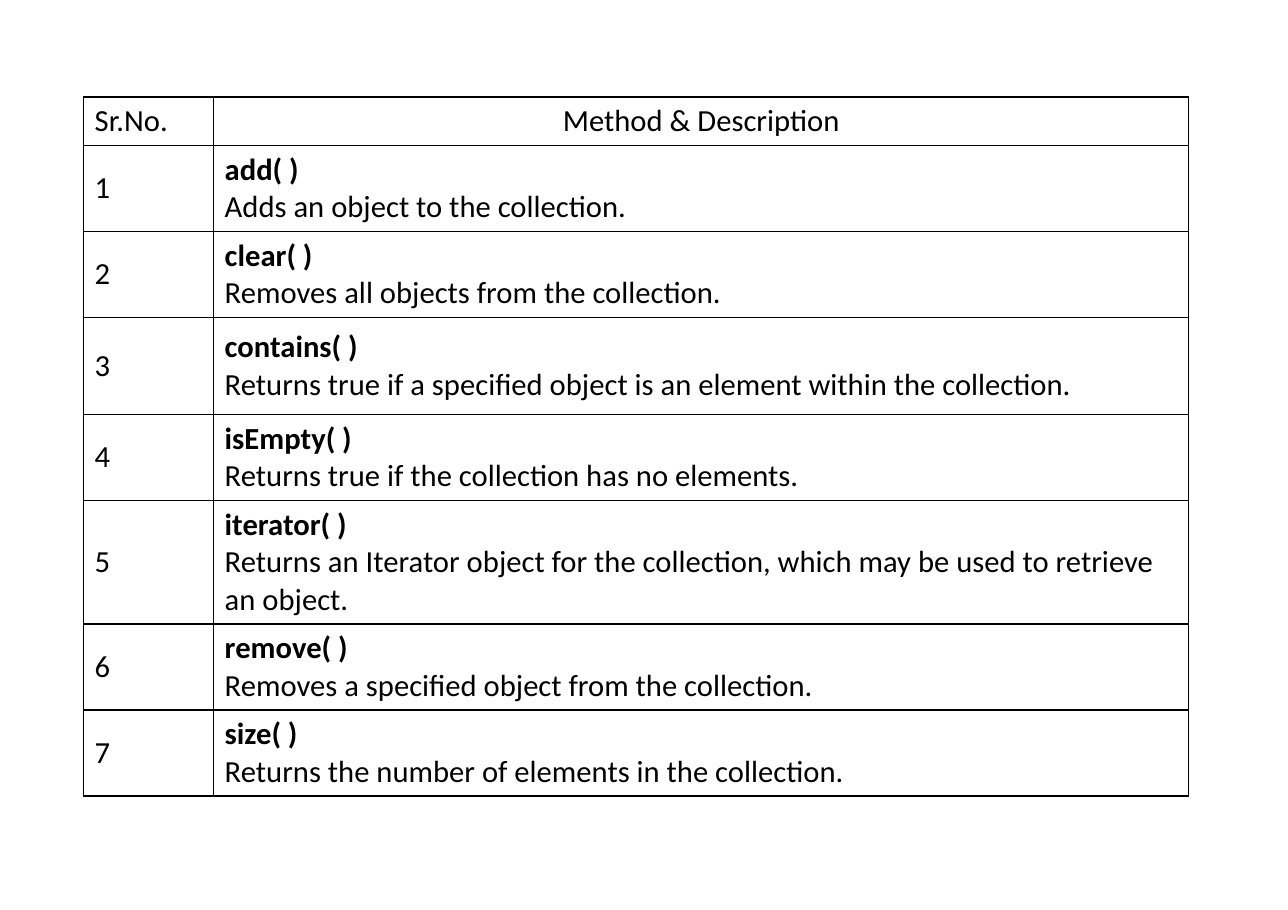
import dataclasses

import pptx
import pptx.dml.color
import pptx.enum.text
import pptx.oxml
import pptx.oxml.ns
import pptx.table
import pptx.text.text
import pptx.util

PX = 9144  # EMU in one px, at 100 px to the inch
BLACK = pptx.dml.color.RGBColor(0, 0, 0)
FONT = "Calibri"
LEFT = pptx.enum.text.PP_ALIGN.LEFT
MID = pptx.enum.text.PP_ALIGN.CENTER


@dataclasses.dataclass(frozen=True)
class Method:
    name: str
    text: str
    tall: int = 62


COLS = (118, 885)
HEAD = 36
METHODS = (
    Method("add( )", "Adds an object to the collection."),
    Method("clear( )", "Removes all objects from the collection."),
    Method("contains( )", "Returns true if a specified object is an element "
           "within the collection.", 88),
    Method("isEmpty( )", "Returns true if the collection has no elements."),
    Method("iterator( )", "Returns an Iterator object for the collection, "
           "which may be used to retrieve an object.", 88),
    Method("remove( )", "Removes a specified object from the collection."),
    Method("size( )", "Returns the number of elements in the collection."),
)


def px(size: int) -> pptx.util.Emu:
    return pptx.util.Emu(size * PX)


def write(para: pptx.text.text._Paragraph, text: str, *,
          bold: bool = False, align: pptx.enum.text.PP_ALIGN = LEFT) -> None:
    para.alignment = align
    run = para.add_run()
    run.text = text
    run.font.name = FONT
    run.font.size = pptx.util.Pt(20)
    run.font.bold = bold
    run.font.color.rgb = BLACK


def frame(cell: pptx.table._Cell) -> None:
    """Give a cell its black borders, clear fill and margins."""
    props = cell._tc.get_or_add_tcPr()
    for side in "LRTB":
        props.append(pptx.oxml.parse_xml(
            f'<a:ln{side} {pptx.oxml.ns.nsdecls("a")} w="{pptx.util.Pt(1)}">'
            f'<a:solidFill><a:srgbClr val="{BLACK}"/></a:solidFill>'
            f'</a:ln{side}>'))
    cell.fill.background()
    cell.vertical_anchor = pptx.enum.text.MSO_ANCHOR.MIDDLE
    cell.margin_left = cell.margin_right = px(10)
    cell.margin_top = cell.margin_bottom = px(5)


def fill(table: pptx.table.Table) -> None:
    # Header row
    write(table.cell(0, 0).text_frame.paragraphs[0], "Sr.No.")
    write(table.cell(0, 1).text_frame.paragraphs[0],
          "Method & Description", align=MID)

    # One row for each method
    for num, item in enumerate(METHODS, 1):
        write(table.cell(num, 0).text_frame.paragraphs[0], str(num))
        body = table.cell(num, 1).text_frame
        write(body.paragraphs[0], item.name, bold=True)
        write(body.add_paragraph(), item.text)


def main() -> None:
    deck = pptx.Presentation()
    deck.slide_width, deck.slide_height = px(1169), px(826)
    slide = deck.slides.add_slide(deck.slide_layouts[6])

    # Table grid
    talls = (HEAD, *(item.tall for item in METHODS))
    table = slide.shapes.add_table(
        len(talls), len(COLS), px(76), px(88), px(sum(COLS)), px(625)).table
    table.first_row = table.horz_banding = False
    for col, wide in zip(table.columns, COLS):
        col.width = px(wide)
    for row, tall in zip(table.rows, talls):
        row.height = px(tall)
    for cell in table.iter_cells():
        frame(cell)

    fill(table)
    deck.save("out.pptx")


if __name__ == "__main__":
    main()
